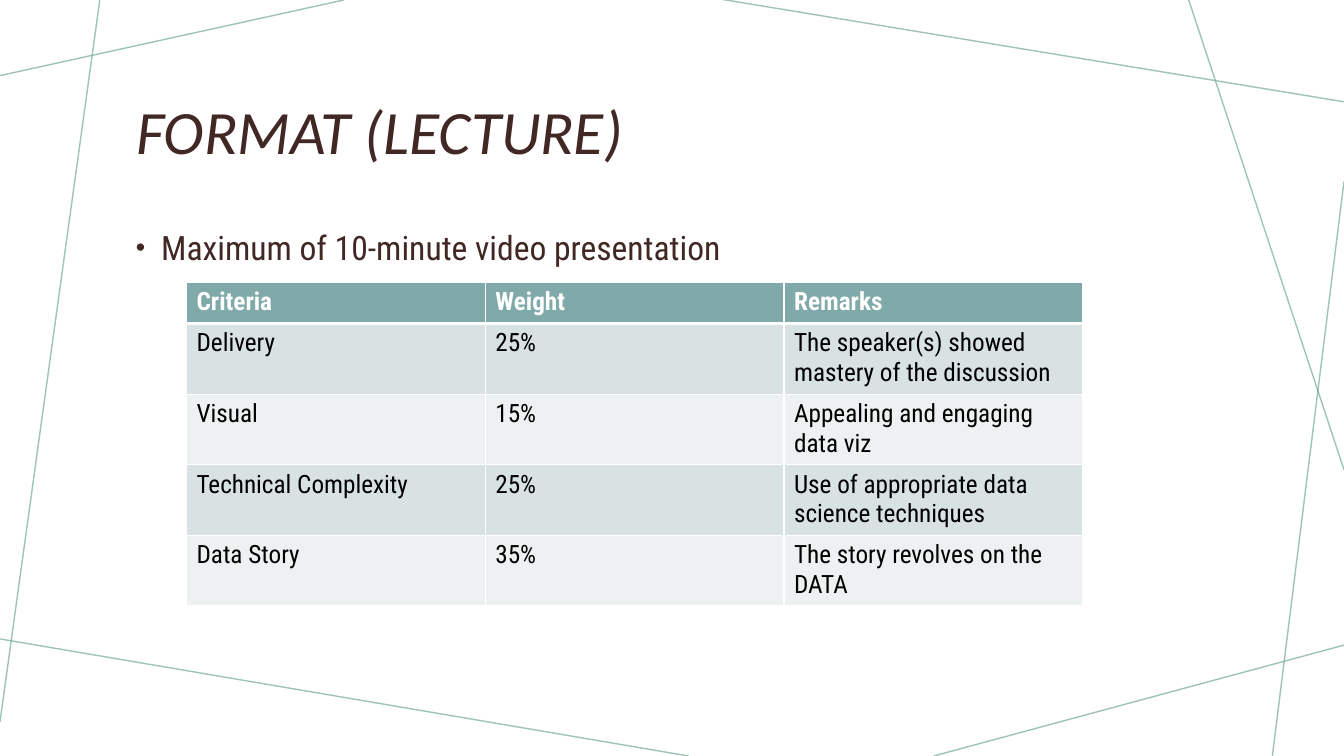
from dataclasses import dataclass

from lxml.etree import SubElement
from pptx import Presentation
from pptx.dml.color import RGBColor as RGB
from pptx.enum.shapes import MSO_CONNECTOR as CONN
from pptx.enum.text import MSO_ANCHOR as ANCHOR, MSO_AUTO_SIZE as AUTO, PP_ALIGN as ALIGN
from pptx.oxml import parse_xml
from pptx.oxml.ns import nsdecls, qn
from pptx.util import Inches, Pt


@dataclass(frozen=True)
class Theme:
    """Colours, fonts and type sizes of the slide."""
    ink: str = "412824"
    accent: str = "75AB94"
    header: str = "80A9A9"
    bands: tuple = ("D8E2E2", "EDF1F1")
    white: str = "FFFFFF"
    black: str = "000000"
    heading: str = "Calibri"
    body: str = "Roboto Condensed"
    title_pt: int = 44
    bullet_pt: int = 24
    cell_pt: int = 18


T = Theme()
WIDTH, HEIGHT = 13.33, 7.5
FRAME_LINES = [
    (3.41, 0, 0, 0.75),
    (0.99, 0, 0, 7.16),
    (6.83, 7.5, -0.05, 6.33),
    (13.33, 6.4, 9.26, 7.5),
    (13.33, 1.8, 12.62, 7.5),
    (13.33, 4.66, 11.79, 0),
    (13.33, 1.01, 7.14, -0.01),
]
CRITERIA = [
    ("Criteria", "Weight", "Remarks"),
    ("Delivery", "25%", "The speaker(s) showed mastery of the discussion"),
    ("Visual", "15%", "Appealing and engaging data viz"),
    ("Technical Complexity", "25%", "Use of appropriate data science techniques"),
    ("Data Story", "35%", "The story revolves on the DATA"),
]


def add_run(p, text, font, size, color, bold=False, italic=False):
    """Append a formatted run to a paragraph."""
    r = p.add_run()
    r.text = text
    r.font.name, r.font.size = font, Pt(size)
    r.font.bold, r.font.italic = bold, italic
    r.font.color.rgb = RGB.from_string(color)


def add_frame(s, box):
    """Draw the crossing translucent lines around the slide."""
    x, y = box[:2]
    for x1, y1, x2, y2 in FRAME_LINES:
        ends = [Inches(v) for v in (x + x1, y + y1, x + x2, y + y2)]
        line = s.shapes.add_connector(CONN.STRAIGHT, *ends)
        line.line.width = Pt(1)
        line.line.color.rgb = RGB.from_string(T.accent)
        sp_pr = line._element.spPr
        color = next(sp_pr.iter(qn("a:srgbClr")))
        SubElement(color, qn("a:alpha"), val="70000")
        SubElement(sp_pr, qn("a:effectLst"))


def add_title(s, box, text):
    """Place and format the title placeholder."""
    sp = s.shapes.title
    sp.left, sp.top, sp.width, sp.height = map(Inches, box)
    tf = sp.text_frame
    tf.auto_size, tf.vertical_anchor = AUTO.NONE, ANCHOR.MIDDLE
    p = tf.paragraphs[0]
    p.alignment, p.line_spacing = ALIGN.LEFT, 0.9
    add_run(p, text, T.heading, T.title_pt, T.ink, italic=True)


def add_bullet(s, box, text):
    """Add a bulleted line with a hanging indent."""
    tf = s.shapes.add_textbox(*map(Inches, box)).text_frame
    tf.word_wrap = True
    p = tf.paragraphs[0]
    p.space_before = Pt(10)
    p_pr = p._p.get_or_add_pPr()
    p_pr.set("marL", str(Inches(0.25)))
    p_pr.set("indent", str(-Inches(0.25)))
    SubElement(p_pr, qn("a:buSzPct"), val="80000")
    SubElement(p_pr, qn("a:buFont"), typeface="Arial")
    SubElement(p_pr, qn("a:buChar"), char="•")
    add_run(p, text, T.body, T.bullet_pt, T.ink)


def set_borders(cell, bottom, top):
    """Give a cell white borders with the stated bottom and top widths."""
    tc_pr = cell._tc.get_or_add_tcPr()
    for i, (side, pt) in enumerate(zip("LRTB", (1, 1, top, bottom))):
        tc_pr.insert(i, parse_xml(
            f'<a:ln{side} {nsdecls("a")} w="{Pt(pt)}"><a:solidFill>'
            f'<a:srgbClr val="{T.white}"/></a:solidFill></a:ln{side}>'))


def add_criteria(s, box, rows):
    """Add the banded table of grading criteria."""
    table = s.shapes.add_table(len(rows), len(rows[0]), *map(Inches, box)).table
    for i, row in enumerate(rows):
        is_header = i == 0
        fill = T.header if is_header else T.bands[(i - 1) % 2]
        color = T.white if is_header else T.black
        for j, text in enumerate(row):
            cell = table.cell(i, j)
            cell.fill.solid()
            cell.fill.fore_color.rgb = RGB.from_string(fill)
            set_borders(cell, bottom=3 if is_header else 1, top=3 if i == 1 else 1)
            add_run(cell.text_frame.paragraphs[0], text, T.body, T.cell_pt, color, bold=is_header)


def add_format_slide(prs, box):
    """Build the lecture format slide."""
    s = prs.slides.add_slide(prs.slide_layouts[5])
    s.background.fill.solid()
    s.background.fill.fore_color.rgb = RGB.from_string(T.white)
    x, y, w, h = box
    margin = 1.25
    content_w = w - 2 * margin
    add_frame(s, box)
    add_title(s, (x + margin, y + 0.58, content_w, 1.51), "FORMAT (LECTURE)")
    add_bullet(s, (x + margin, y + 2.2, content_w, 4.4), "Maximum of 10-minute video presentation")
    add_criteria(s, (x + 1.85, y + 2.8, 8.89, 0.41 * len(CRITERIA)), CRITERIA)


prs = Presentation()
prs.slide_width, prs.slide_height = Inches(WIDTH), Inches(HEIGHT)
add_format_slide(prs, (0, 0, WIDTH, HEIGHT))
prs.save("out.pptx")
